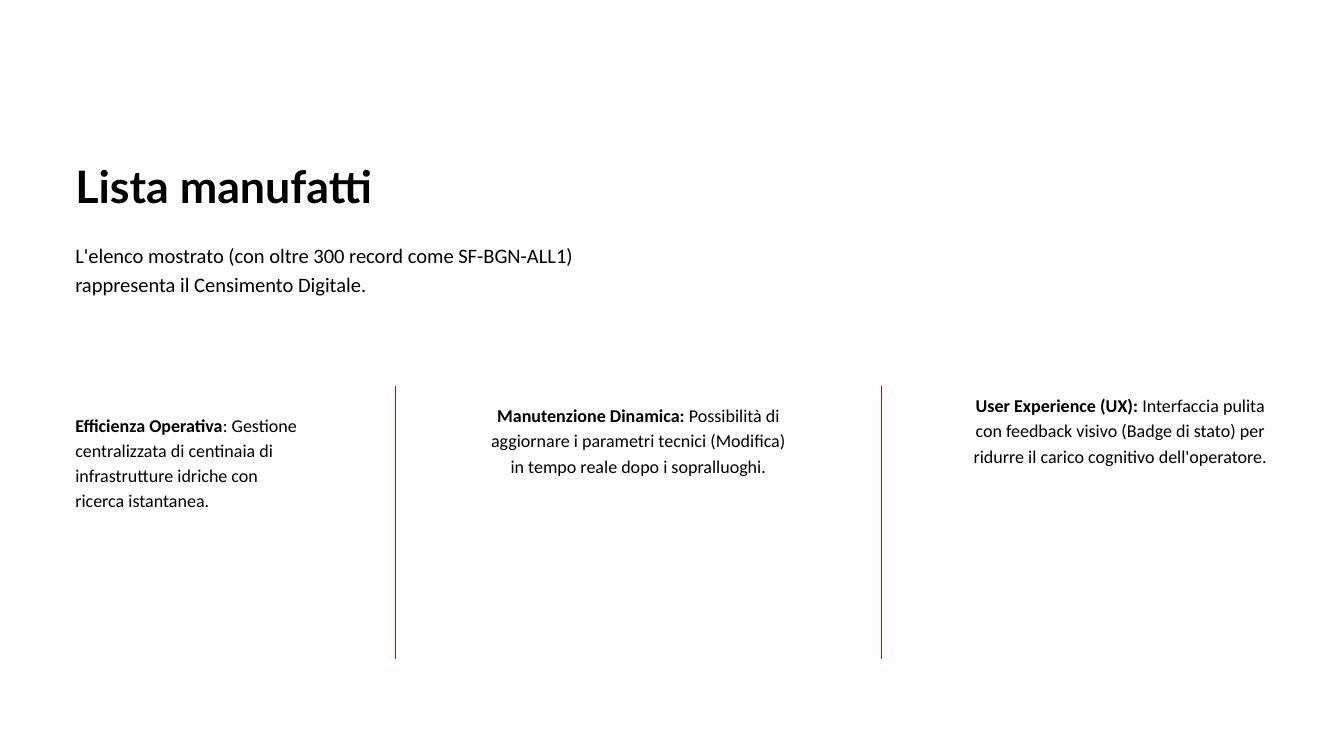
from dataclasses import dataclass
from lxml.etree import SubElement
from pptx import Presentation
from pptx.dml.color import RGBColor as RGB
from pptx.enum.shapes import MSO_CONNECTOR as Connector
from pptx.enum.text import MSO_AUTO_SIZE as AutoSize, PP_ALIGN as Align
from pptx.oxml.ns import qn
from pptx.util import Inches, Pt


@dataclass(frozen=True)
class Theme:
    background: RGB = RGB.from_string("FFFEFC")
    ink: RGB = RGB.from_string("000000")
    divider: RGB = RGB.from_string("A21919")
    title: tuple = ("Lato", 48, 62.4)
    intro: tuple = ("Calibri", 22, 30.8)
    body: tuple = ("Calibri", 19.3, 27)
    divider_width: float = 0.75


THEME = Theme()
WIDTH, HEIGHT = 20, 11.25
MARGIN = 1.12
DIVIDER_TOP, DIVIDER_BOTTOM = 5.75, 9.81
DIVIDERS = [5.88, 13.12]

TITLE = [("Lista manufatti", True)]
INTRO = [("L'elenco mostrato (con oltre 300 record come SF-BGN-ALL1) "
          "rappresenta il Censimento Digitale.", False)]
COLUMNS = [
    ("Efficienza Operativa",
     ": Gestione centralizzata di centinaia di infrastrutture idriche con ricerca istantanea.",
     (MARGIN, 6.11, 3.41, 1.85), Align.LEFT),
    ("Manutenzione Dinamica: ",
     "Possibilità di aggiornare i parametri tecnici (Modifica) in tempo reale dopo i sopralluoghi.",
     (7.22, 5.97, 4.56, 1.53), Align.CENTER),
    ("User Experience (UX):",
     " Interfaccia pulita con feedback visivo (Badge di stato) per ridurre il carico cognitivo dell'operatore.",
     (14.46, 5.82, 4.42, 1.53), Align.CENTER),
]


def set_all(target, values):
    for name, value in values.items():
        setattr(target, name, value)


def add_text(s, box, runs, style, align=Align.LEFT):
    font, size, leading = style
    tf = s.shapes.add_textbox(*map(Inches, box)).text_frame
    set_all(tf, dict(word_wrap=True, auto_size=AutoSize.SHAPE_TO_FIT_TEXT,
                     margin_left=0, margin_top=0, margin_right=0, margin_bottom=0))
    p = tf.paragraphs[0]
    set_all(p, dict(alignment=align, line_spacing=Pt(leading)))
    for text, bold in runs:
        r = p.add_run()
        r.text = text
        set_all(r.font, dict(name=font, size=Pt(size), bold=bold))
        r.font.color.rgb = THEME.ink


def add_divider(s, x):
    line = s.shapes.add_connector(
        Connector.STRAIGHT, *map(Inches, (x, DIVIDER_TOP, x, DIVIDER_BOTTOM)))
    line.line.color.rgb = THEME.divider
    line.line.width = Pt(THEME.divider_width)
    SubElement(line._element.spPr, qn("a:effectLst"))


def main():
    prs = Presentation()
    set_all(prs, dict(slide_width=Inches(WIDTH), slide_height=Inches(HEIGHT)))
    s = prs.slides.add_slide(prs.slide_layouts[6])
    s.background.fill.solid()
    s.background.fill.fore_color.rgb = THEME.background

    add_text(s, (MARGIN, 2.29, 6.69, 0.85), TITLE, THEME.title)
    add_text(s, (MARGIN, 3.56, 8.88, 1.29), INTRO, THEME.intro)
    for x in DIVIDERS:
        add_divider(s, x)
    for heading, detail, box, align in COLUMNS:
        add_text(s, box, [(heading, True), (detail, False)], THEME.body, align)

    prs.save("out.pptx")


if __name__ == "__main__":
    main()
